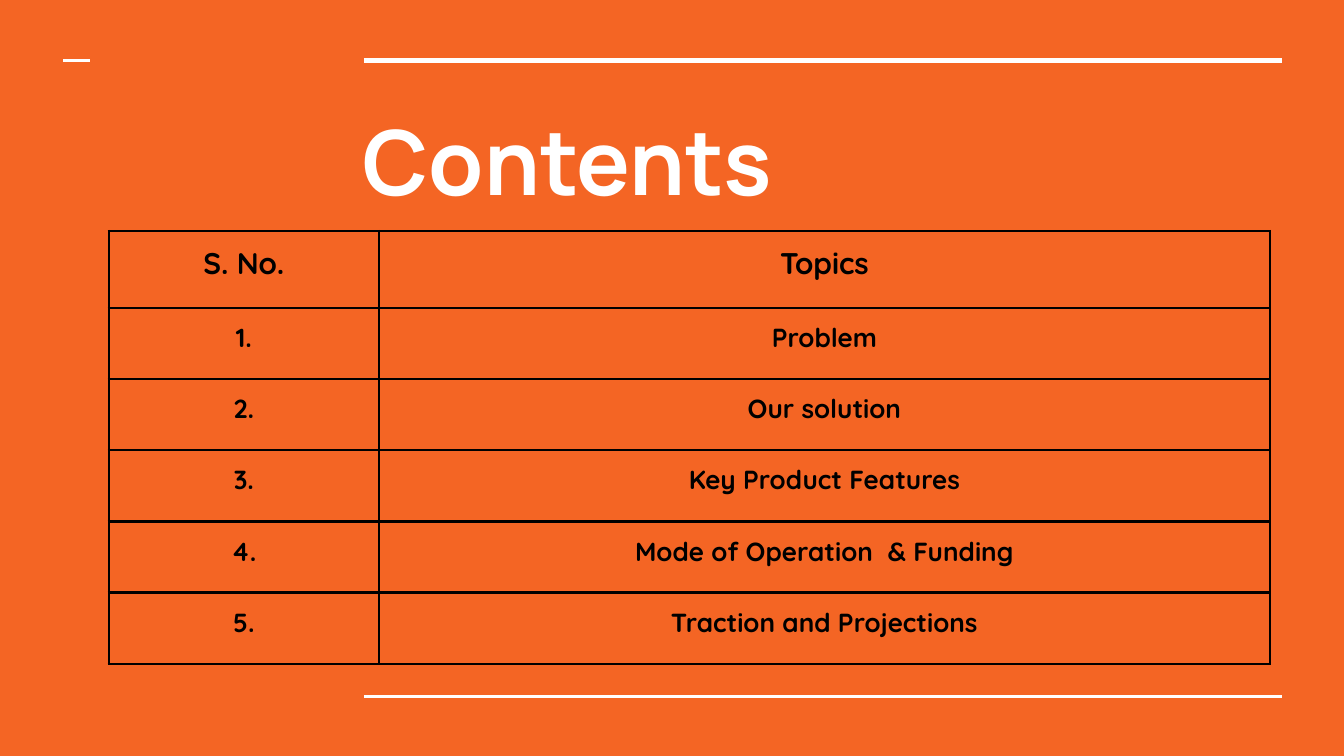
"""Build a contents slide with a bordered table of topics."""
from lxml import etree
from pptx import Presentation
from pptx import util as u
from pptx.dml.color import RGBColor
from pptx.enum import shapes, text
from pptx.oxml.ns import qn

COLORS = {"background": "F46524", "light": "FFFFFF", "dark": "000000"}


class SlideBuilder:
    def __init__(self, prs):
        self.s = prs.slides.add_slide(prs.slide_layouts[5])
        self.title_font, self.body_font = "Manrope", "Quicksand"
        self.inset = u.Inches(0.1)
        fill = self.s.background.fill
        fill.solid()
        fill.fore_color.rgb = self.color("background")

    def color(self, name):
        return RGBColor.from_string(COLORS[name])

    def run(self, p, content, font, size, color, align):
        p.alignment = align
        r = p.add_run()
        r.text = content
        r.font.name, r.font.size, r.font.bold = font, u.Pt(size), True
        r.font.color.rgb = self.color(color)

    def margins(self, box):
        box.margin_left = box.margin_right = self.inset
        box.margin_top = box.margin_bottom = self.inset

    def rule(self, x1, x2, y, width):
        sp = self.s.shapes.add_connector(
            shapes.MSO_CONNECTOR.STRAIGHT,
            u.Inches(x1), u.Inches(y), u.Inches(x2), u.Inches(y))
        sp.line.color.rgb = self.color("light")
        sp.line.width = u.Pt(width)
        etree.SubElement(sp._element.spPr, qn("a:effectLst"))

    def title(self, content, x, y, w, h):
        sp = self.s.shapes.title
        sp.left, sp.top, sp.width, sp.height = map(u.Inches, (x, y, w, h))
        tf = sp.text_frame
        tf.word_wrap = True
        tf.auto_size = text.MSO_AUTO_SIZE.NONE
        tf.vertical_anchor = text.MSO_ANCHOR.TOP
        self.margins(tf)
        self.run(tf.paragraphs[0], content, self.title_font, 48, "light",
                 text.PP_ALIGN.LEFT)

    def borders(self, cell, width):
        tc_pr = cell._tc.get_or_add_tcPr()
        for side in ("a:lnL", "a:lnR", "a:lnT", "a:lnB"):
            ln = etree.SubElement(tc_pr, qn(side), w=str(u.Pt(width)))
            fill = etree.SubElement(ln, qn("a:solidFill"))
            etree.SubElement(fill, qn("a:srgbClr"), val=COLORS["dark"])

    def table(self, rows, x, y, widths, heights):
        frame = self.s.shapes.add_table(
            len(rows), len(widths), u.Inches(x), u.Inches(y),
            u.Inches(sum(widths)), u.Inches(sum(heights)))
        tbl = frame.table
        tbl.first_row = tbl.horz_banding = False
        for column, width in zip(tbl.columns, widths):
            column.width = u.Inches(width)
        for i, row in enumerate(rows):
            tbl.rows[i].height = u.Inches(heights[i])
            for j, content in enumerate(row):
                cell = tbl.cell(i, j)
                self.margins(cell)
                self.borders(cell, 1.5)
                cell.fill.background()
                self.run(cell.text_frame.paragraphs[0], content,
                         self.body_font, 14 if i else 16, "dark",
                         text.PP_ALIGN.CENTER)


def main():
    prs = Presentation()
    prs.slide_width = u.Inches(10)
    prs.slide_height = u.Inches(10 * 9 / 16)
    slide = SlideBuilder(prs)
    slide.rule(2.71, 9.54, 0.45, 3)
    slide.rule(2.71, 9.54, 5.18, 1.5)
    slide.rule(0.47, 0.67, 0.45, 1.5)
    slide.title("Contents", 2.6, 0.69, 6.92, 1.69)
    topics = ["Problem", "Our solution", "Key Product Features",
              "Mode of Operation  & Funding", "Traction and Projections"]
    rows = [("S. No.", "Topics")]
    rows += [(f"{n}.", topic) for n, topic in enumerate(topics, 1)]
    slide.table(rows, 0.81, 1.72, [2.01, 6.63], [0.57] + [0.53] * len(topics))
    prs.save("out.pptx")


if __name__ == "__main__":
    main()
